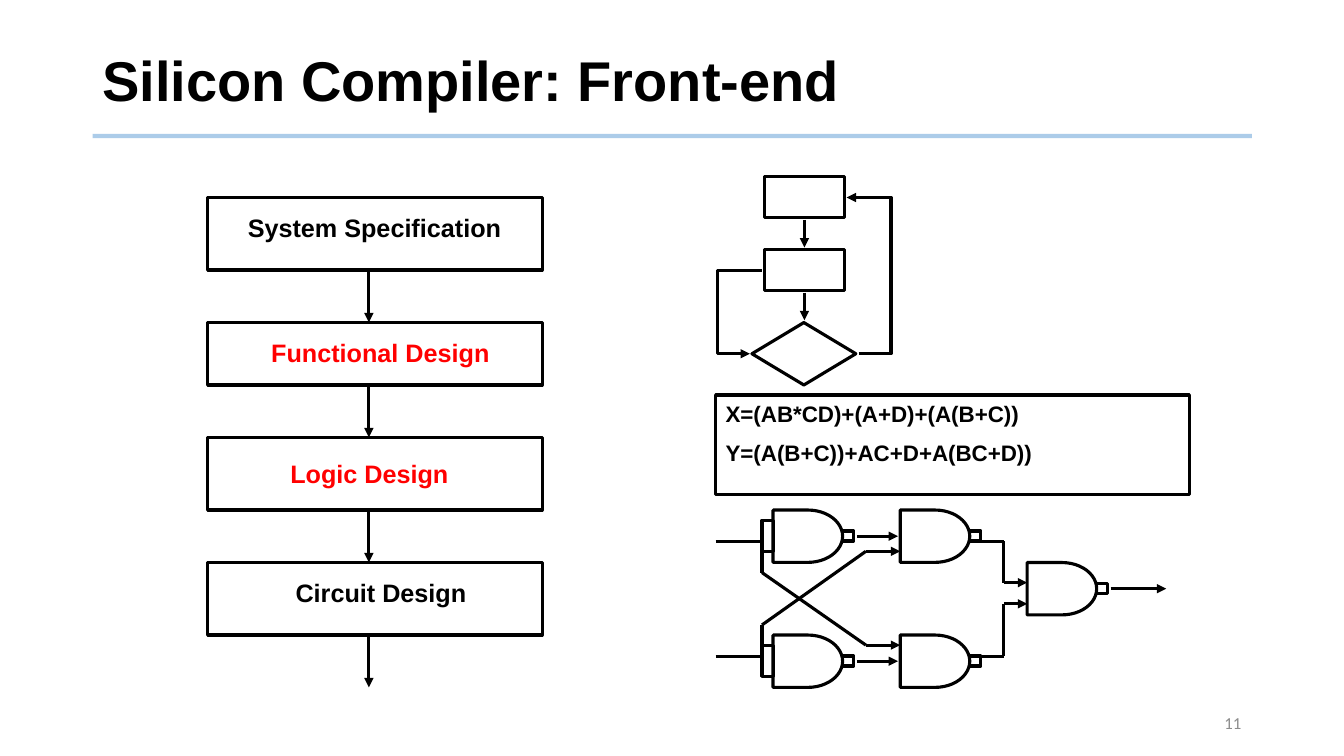
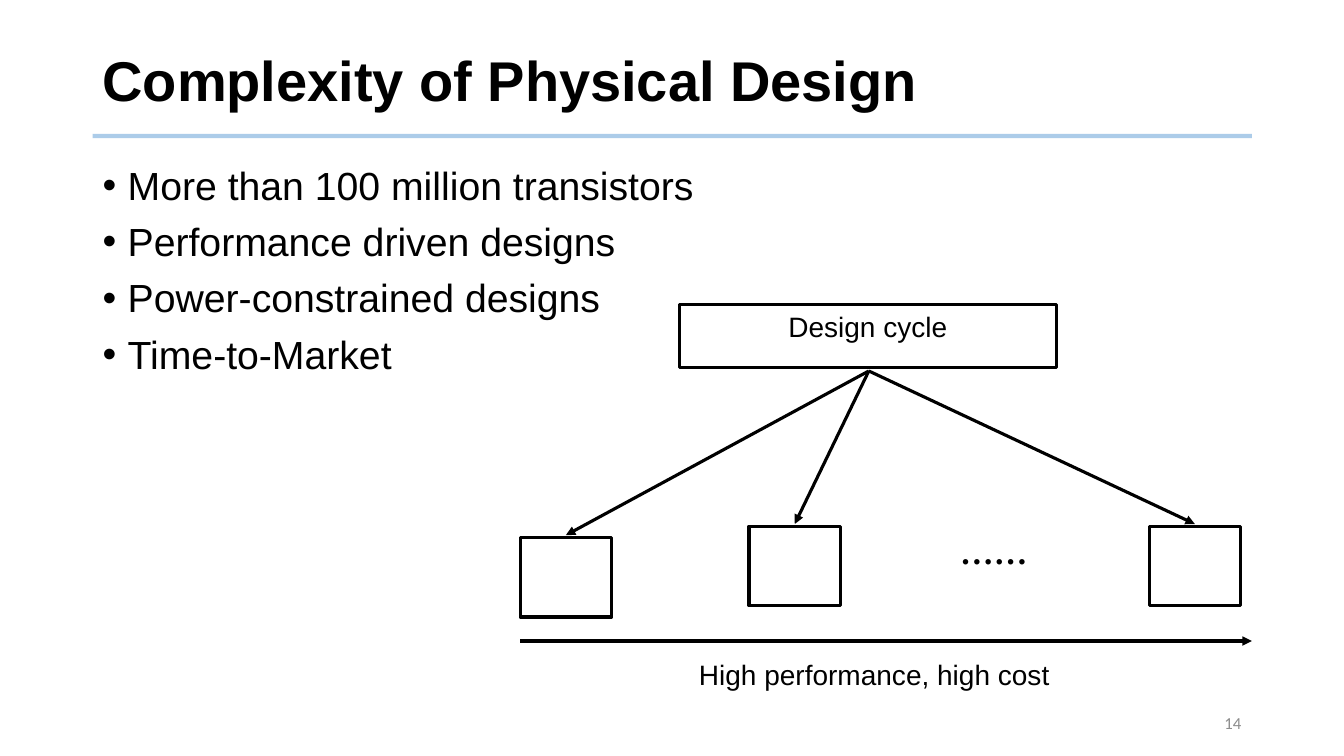
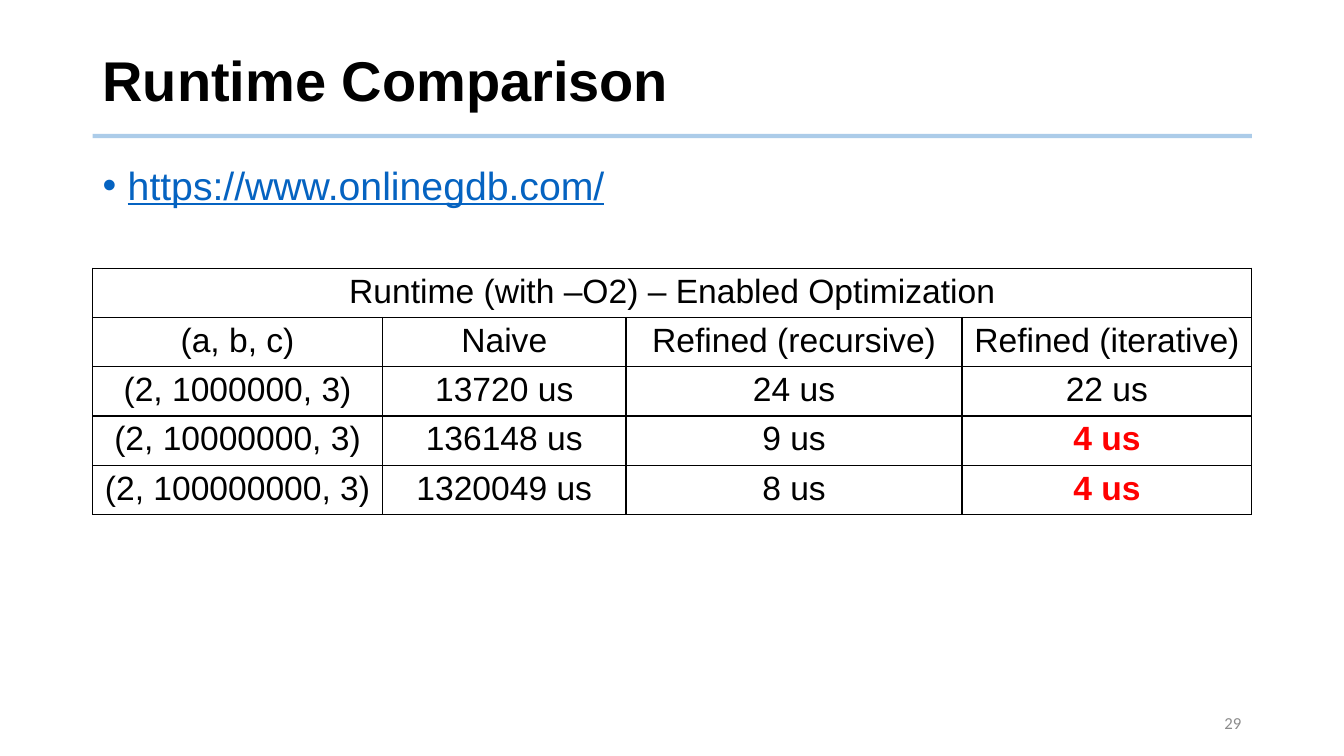
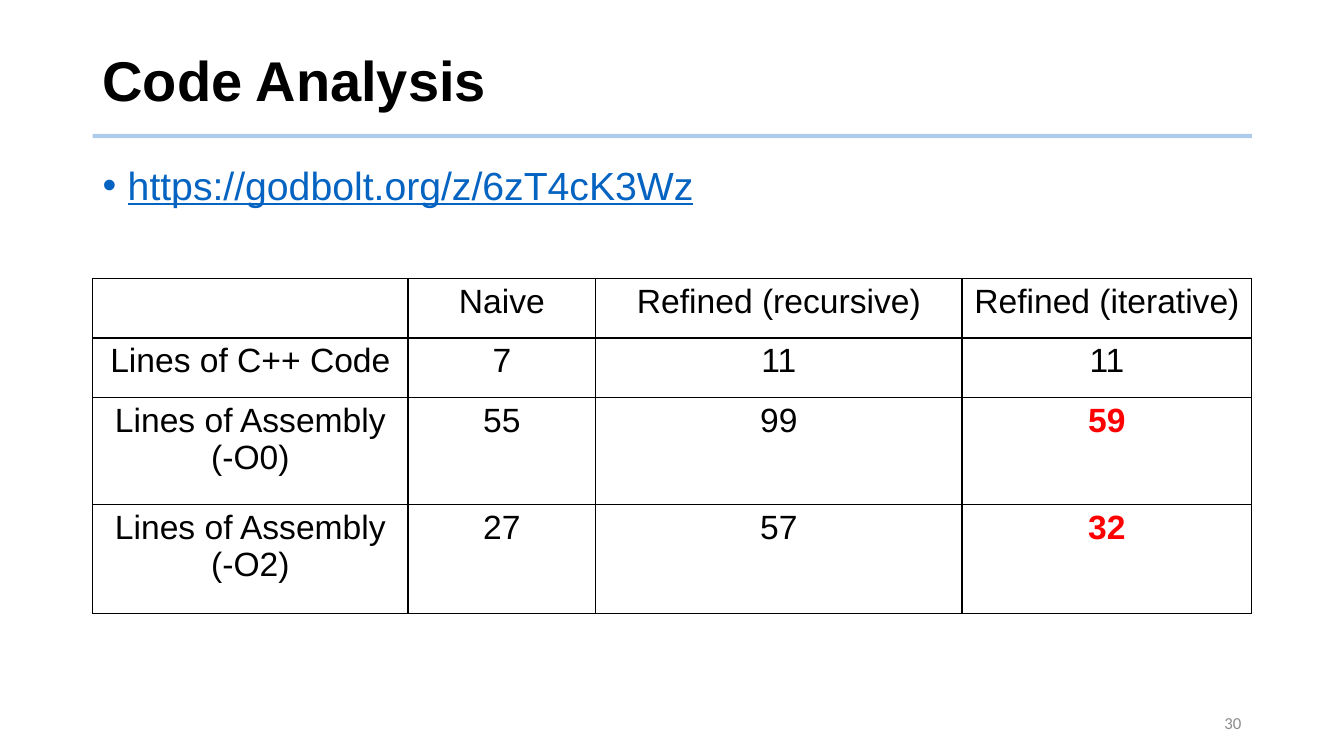
import itertools

import pptx
import pptx.dml.color
import pptx.enum.shapes
import pptx.enum.text
import pptx.oxml.ns
import pptx.util
from lxml import etree

Pt = pptx.util.Pt
RGB = pptx.dml.color.RGBColor.from_string
qn = pptx.oxml.ns.qn
SHAPE = pptx.enum.shapes.MSO_SHAPE
CONNECTOR = pptx.enum.shapes.MSO_CONNECTOR
ALIGN = pptx.enum.text.PP_ALIGN
ANCHOR = pptx.enum.text.MSO_ANCHOR

COLORS = {"ink": "000000", "red": "FF0000", "link": "0563C1",
          "rule": "5B9BD5", "number": "8C8C8C"}
LEFT, WIDTH = 66.2, 828
BODY = (LEFT, 115.2, WIDTH, 370.8)


def add_box(s, box, lines=(), kind=None, size=20, color="ink", bold=False,
            align=ALIGN.CENTER, anchor=ANCHOR.TOP, font="Arial", gap=0):
    """Add an outlined shape of the given kind, or a text box without one."""
    box = [Pt(v) for v in box]
    if kind is None:
        sp = s.shapes.add_textbox(*box)
    else:
        sp = s.shapes.add_shape(kind, *box)
        sp.shadow.inherit = False
        sp.fill.background()
        sp.line.color.rgb = RGB(COLORS["ink"])
        sp.line.width = Pt(2.25)
    tf = sp.text_frame
    tf.word_wrap = True
    tf.vertical_anchor = anchor
    for i, line in enumerate(lines):
        p = tf.add_paragraph() if i else tf.paragraphs[0]
        p.alignment = align
        if i:
            p.space_before = Pt(gap)
        r = p.add_run()
        r.text = line
        r.font.name, r.font.size, r.font.bold = font, Pt(size), bold
        r.font.color.rgb = RGB(COLORS[color])
    return tf


def add_line(s, start, end, arrow=True, bend=None, color="ink", width=2.25):
    """Add a connector; bend is the x of the upright part of an elbow."""
    kind = CONNECTOR.STRAIGHT if bend is None else CONNECTOR.ELBOW
    line = s.shapes.add_connector(kind, *[Pt(v) for v in (*start, *end)])
    line.line.color.rgb = RGB(COLORS[color])
    line.line.width = Pt(width)
    spPr = line.element.spPr
    if arrow:
        etree.SubElement(spPr.find(qn("a:ln")), qn("a:tailEnd"), type="triangle")
    if bend is not None:
        adj = round((bend - start[0]) / (end[0] - start[0]) * 100000)
        etree.SubElement(next(spPr.iter(qn("a:avLst"))), qn("a:gd"),
                         name="adj1", fmla=f"val {adj}")
    etree.SubElement(spPr, qn("a:effectLst"))
    return line


prs = pptx.Presentation()
prs.slide_width, prs.slide_height = Pt(960), Pt(540)

# Title, rule, bullets and number of every slide
pages = [
    ("Silicon Compiler: Front-end", "11", [], "ink"),
    ("Complexity of Physical Design", "14",
     ["More than 100 million transistors", "Performance driven designs",
      "Power-constrained designs", "Time-to-Market"], "ink"),
    ("Runtime Comparison", "29", ["https://www.onlinegdb.com/"], "link"),
    ("Code Analysis", "30", ["https://godbolt.org/z/6zT4cK3Wz"], "link"),
]
slides = []
for title, number, bullets, color in pages:
    s = prs.slides.add_slide(prs.slide_layouts[6])
    slides.append(s)
    rule = add_line(s, (LEFT, 97.2), (LEFT + WIDTH, 97.2), False, color="rule", width=3)
    etree.SubElement(next(rule.element.spPr.iter(qn("a:srgbClr"))), qn("a:alpha"), val="50000")
    tf = add_box(s, (LEFT, 20.2, WIDTH, 79.2), [title], size=40, bold=True,
                 align=ALIGN.LEFT, anchor=ANCHOR.MIDDLE)
    tf.paragraphs[0].line_spacing = 0.9
    add_box(s, (725.8, 501.8, 168, 28.8), [number], size=12, color="number",
            align=ALIGN.RIGHT, anchor=ANCHOR.MIDDLE, font="Calibri")
    if bullets:
        tf = add_box(s, BODY, bullets, size=28, color=color, align=ALIGN.LEFT, gap=10)
        for p in tf.paragraphs:
            p.line_spacing = 0.9
            p.runs[0].font.underline = color == "link"
            pPr = p._p.get_or_add_pPr()
            pPr.set("marL", str(Pt(18)))
            pPr.set("indent", str(-Pt(18)))
            etree.SubElement(pPr, qn("a:buFont"), typeface="Arial")
            etree.SubElement(pPr, qn("a:buChar"), char="•")

# Slide 1: design steps
s = slides[0]
steps = [  # label, colour, box top and height, label left, top and width
    ("System Specification", "ink", 141.1, 51.8, 139.7, 148.3, 255.6),
    ("Functional Design", "red", 230.4, 44.6, 156.2, 237.6, 231.1),
    ("Logic Design", "red", 312.5, 51.8, 148.3, 324, 231.1),
    ("Circuit Design", "ink", 401.8, 51.8, 148.3, 409, 247.7),
]
for label, color, top, height, x, y, width in steps:
    add_box(s, (148.3, top, 239, height), kind=SHAPE.RECTANGLE)
    add_box(s, (x, y, width, 36), [label], size=18, color=color, bold=True)
    add_line(s, (263.5, top + height), (263.5, top + height + 37.4))

# Slide 1: flowchart and formulas
for top in (126, 178):
    add_box(s, (545.8, top, 57.6, 29.5), kind=SHAPE.FLOWCHART_PROCESS)
    add_line(s, (574.6, top + 31), (574.6, top + 50.8))
add_box(s, (537.1, 230.4, 74.2, 44.6), kind=SHAPE.FLOWCHART_DECISION)
add_line(s, (544.3, 193), (535.7, 252.7), bend=512.6)
add_line(s, (613.4, 252.7), (604.8, 141.1), bend=636.5)
add_box(s, (511.2, 282.2, 338.4, 71.3),
        ["X=(AB*CD)+(A+D)+(A(B+C))", "Y=(A(B+C))+AC+D+A(BC+D))"],
        SHAPE.RECTANGLE, size=16, bold=True, align=ALIGN.LEFT, gap=8.7)

# Slide 1: gate circuit
UPPER, LOWER = 364.3, 453.6
gates = [*itertools.product((552.2, 643), (UPPER, LOWER)), (733.7, 401.8)]
for x, y in gates:
    add_box(s, (x, y, 49.7, 37.4), kind=SHAPE.FLOWCHART_DELAY)
    add_box(s, (x + 49.7, y + 15, 7.9, 7.2), kind=SHAPE.RECTANGLE)
for y in (UPPER, LOWER):
    add_box(s, (544.3, y + 7.2, 7.9, 22.3), kind=SHAPE.FLOWCHART_PROCESS)
    add_line(s, (612, y + 18.7), (641.5, y + 18.7))
for y in (386.6, 468.7):
    add_line(s, (511.2, y), (544.3, y), False)
wires = [
    [(544.3, 393.8), (544.3, 409), (618.5, 460.8), (643, 460.8)],
    [(544.3, 460.8), (544.3, 446.4), (618.5, 393.8), (643, 393.8)],
    [(692.6, 386.6), (717.1, 386.6), (717.1, 416.2), (733.7, 416.2)],
    [(700.6, 468.7), (717.1, 468.7), (717.1, 431.3), (733.7, 431.3)],
    [(793.4, 420.5), (833, 420.5)],
]
for wire in wires:
    for start, end in itertools.pairwise(wire):
        add_line(s, start, end, arrow=end == wire[-1])

# Slide 2: design cycle
s = slides[1]
add_box(s, (485.3, 217.4, 269.3, 45.4), ["Design cycle"], SHAPE.RECTANGLE)
for x, y in ((371.5, 383.8), (535, 375.8), (820.8, 375.8)):
    add_box(s, (x, y, 65.5, 56.9), kind=SHAPE.RECTANGLE)
    add_line(s, (620.6, 265), (x + 32.7, y - 1.5))
add_line(s, (371.5, 457.9), (894.2, 457.9))
add_box(s, (420.5, 465.8, 408.2, 42.5), ["High performance, high cost"])
add_box(s, (667.4, 369.4, 85, 49), ["……"], size=24, bold=True,
        anchor=ANCHOR.MIDDLE, font="Times New Roman")

# Slides 3 and 4: tables, with the best figures in red
runtime = [
    ["Runtime (with –O2) – Enabled Optimization", "", "", ""],
    ["(a, b, c)", "Naive", "Refined (recursive)", "Refined (iterative)"],
    ["(2, 1000000, 3)", "13720 us", "24 us", "22 us"],
    ["(2, 10000000, 3)", "136148 us", "9 us", "4 us"],
    ["(2, 100000000, 3)", "1320049 us", "8 us", "4 us"],
]
code_lines = [
    ["", "Naive", "Refined (recursive)", "Refined (iterative)"],
    ["Lines of C++ Code", "7", "11", "11"],
    ["Lines of Assembly\n(-O0)", "55", "99", "59"],
    ["Lines of Assembly\n(-O2)", "27", "57", "32"],
]
tables = [
    (slides[2], 191.6, runtime, [207, 174, 240, 207], [34] * 5),
    (slides[3], 198.9, code_lines, [225.3, 134, 261.7, 207], [42.5, 42.5, 76.3, 77.8]),
]
for s, top, rows, widths, heights in tables:
    frame = s.shapes.add_table(len(rows), len(widths), Pt(LEFT), Pt(top),
                               Pt(WIDTH), Pt(sum(heights)))
    table = frame.table
    table.first_row = table.horz_banding = False
    for column, width in zip(table.columns, widths):
        column.width = Pt(width)
    for row, height in zip(table.rows, heights):
        row.height = Pt(height)
    if rows is runtime:
        table.cell(0, 0).merge(table.cell(0, 3))
    for (i, row), j in itertools.product(enumerate(rows), range(len(widths))):
        cell = table.cell(i, j)
        cell.margin_top = cell.margin_bottom = Pt(3.2)
        for side in ("a:lnL", "a:lnR", "a:lnT", "a:lnB"):
            ln = etree.SubElement(cell._tc.get_or_add_tcPr(), qn(side), w=str(Pt(1)))
            fill = etree.SubElement(ln, qn("a:solidFill"))
            etree.SubElement(fill, qn("a:srgbClr"), val=COLORS["ink"])
        cell.fill.background()
        best = j == 3 and i >= len(rows) - 2
        for k, line in enumerate(row[j].split("\n") if row[j] else []):
            p = cell.text_frame.add_paragraph() if k else cell.text_frame.paragraphs[0]
            p.alignment = ALIGN.CENTER
            r = p.add_run()
            r.text = line
            r.font.name, r.font.size, r.font.bold = "Arial", Pt(24), best
            r.font.color.rgb = RGB(COLORS["red" if best else "ink"])

prs.save("out.pptx")
